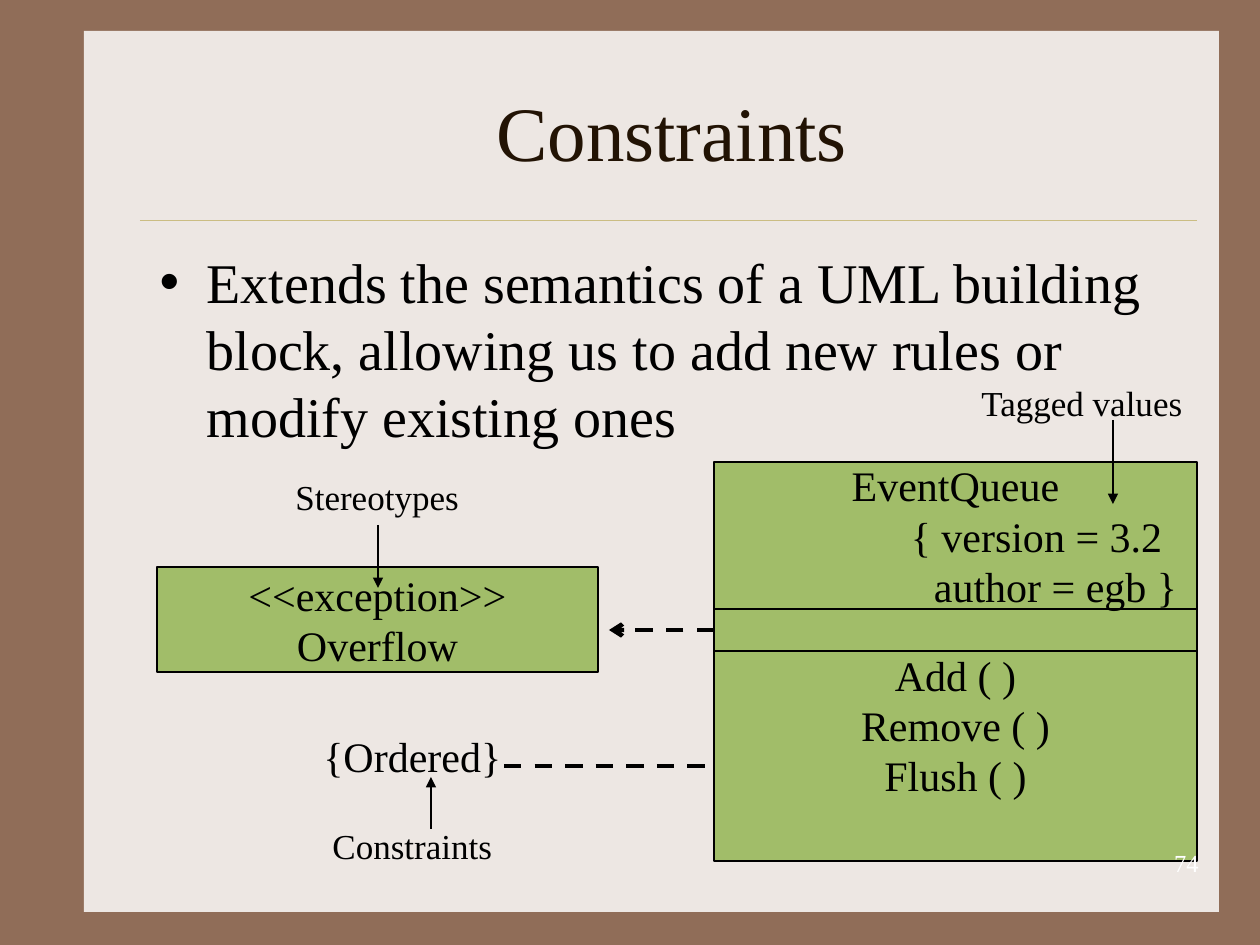
from dataclasses import dataclass
from typing import Optional

import lxml.etree
import pptx
import pptx.dml.color
import pptx.enum.dml
import pptx.enum.shapes
import pptx.enum.text
import pptx.oxml.ns
import pptx.util

ALIGN = pptx.enum.text.PP_ALIGN
ANCHOR = pptx.enum.text.MSO_ANCHOR
qn = pptx.oxml.ns.qn


@dataclass(frozen=True)
class Theme:
    font: str = "Times New Roman"
    frame: str = "906D58"
    panel: str = "EDE7E3"
    rule: str = "CBBD83"
    title: str = "221304"
    ink: str = "000000"
    box: str = "A1BD69"
    page: str = "FFFFFF"
    title_pt: int = 44
    body_pt: int = 32
    class_pt: int = 24
    label_pt: int = 20
    page_pt: int = 14
    leading: float = 1.19


@dataclass(frozen=True)
class Line:
    text: str
    indent: int = 0


@dataclass(frozen=True)
class Box:
    x: int
    y: int
    w: int
    h: int
    lines: tuple[Line, ...] = ()
    anchor: ANCHOR = ANCHOR.MIDDLE
    inset: int = 6


@dataclass(frozen=True)
class Label:
    x: int
    y: int
    w: int
    h: int
    text: str
    size: int
    color: str = "000000"
    align: ALIGN = ALIGN.LEFT


@dataclass(frozen=True)
class Link:
    x1: int
    y1: int
    x2: int
    y2: int
    color: str = "000000"
    weight: float = 0.75
    dashed: bool = False
    head: Optional[str] = None


T = Theme()

OPERATIONS = Box(714, 640, 483, 221,
                 (Line("Add ( )"), Line("Remove ( )"), Line("Flush ( )")),
                 ANCHOR.TOP, 10)
ATTRIBUTES = Box(714, 609, 483, 42)
EVENT_QUEUE = Box(714, 462, 483, 147,
                  (Line("EventQueue"), Line("{ version = 3.2", 162),
                   Line("author = egb }", 200)))
OVERFLOW = Box(157, 567, 441, 105, (Line("<<exception>>"), Line("Overflow")))

LABELS = (
    Label(311, 725, 203, 63, "{Ordered}", T.class_pt),
    Label(283, 470, 189, 55, "Stereotypes", T.label_pt),
    Label(969, 376, 228, 55, "Tagged values", T.label_pt),
    Label(320, 819, 185, 55, "Constraints", T.label_pt),
    Label(949, 842, 262, 63, "74", T.page_pt, T.page, ALIGN.RIGHT),
)
DEPENDENCY = Link(714, 630, 609, 630, weight=2.5, dashed=True, head="arrow")
LINKS = (
    Link(504, 766, 714, 766, weight=2.5, dashed=True),
    Link(378, 525, 378, 588, head="triangle"),
    Link(1113, 420, 1113, 504, head="triangle"),
    Link(431, 829, 431, 777, head="triangle"),
)


def px(n: int) -> pptx.util.Emu:
    return pptx.util.Emu(round(n * 914400 / 126))


def rgb(color: str) -> pptx.dml.color.RGBColor:
    return pptx.dml.color.RGBColor.from_string(color)


def write(p, text: str, size: int, color: str, align: ALIGN) -> None:
    p.alignment = align
    p.space_before = pptx.util.Pt(0)
    p.line_spacing = pptx.util.Pt(round(size * T.leading, 1))
    r = p.add_run()
    r.text = text
    r.font.name = T.font
    r.font.size = pptx.util.Pt(size)
    r.font.color.rgb = rgb(color)


def add_rect(s, box: Box, fill: str, outline: Optional[str] = None):
    sp = s.shapes.add_shape(pptx.enum.shapes.MSO_SHAPE.RECTANGLE,
                            px(box.x), px(box.y), px(box.w), px(box.h))
    sp.shadow.inherit = False
    sp.fill.solid()
    sp.fill.fore_color.rgb = rgb(fill)
    if outline:
        sp.line.color.rgb = rgb(outline)
        sp.line.width = pptx.util.Pt(0.75)
    else:
        sp.line.fill.background()
    return sp


def add_class_box(s, box: Box):
    sp = add_rect(s, box, T.box, T.ink)
    tf = sp.text_frame
    tf.word_wrap = True
    tf.vertical_anchor = box.anchor
    tf.margin_top = px(box.inset)
    for i, line in enumerate(box.lines):
        p = tf.add_paragraph() if i else tf.paragraphs[0]
        write(p, line.text, T.class_pt, T.ink, ALIGN.CENTER)
        if line.indent:
            p._p.get_or_add_pPr().set("marL", str(px(line.indent)))
    return sp


def add_label(s, label: Label) -> None:
    sp = s.shapes.add_textbox(px(label.x), px(label.y), px(label.w), px(label.h))
    tf = sp.text_frame
    tf.word_wrap = label.align == ALIGN.RIGHT
    write(tf.paragraphs[0], label.text, label.size, label.color, label.align)


def add_link(s, link: Link):
    c = s.shapes.add_connector(pptx.enum.shapes.MSO_CONNECTOR.STRAIGHT,
                               px(link.x1), px(link.y1), px(link.x2), px(link.y2))
    c.line.color.rgb = rgb(link.color)
    c.line.width = pptx.util.Pt(link.weight)
    if link.dashed:
        c.line.dash_style = pptx.enum.dml.MSO_LINE.DASH
    if link.head:
        lxml.etree.SubElement(c.line._get_or_add_ln(), qn("a:tailEnd"), type=link.head)
    lxml.etree.SubElement(c._element.spPr, qn("a:effectLst"))
    return c


def fill_placeholder(sp, box: Box, size: int, color: str, align: ALIGN):
    sp.left, sp.top, sp.width, sp.height = px(box.x), px(box.y), px(box.w), px(box.h)
    tf = sp.text_frame
    tf.word_wrap = True
    tf.auto_size = pptx.enum.text.MSO_AUTO_SIZE.NONE
    tf.vertical_anchor = box.anchor
    p = tf.paragraphs[0]
    write(p, box.lines[0].text, size, color, align)
    return p


def add_bullet(p) -> None:
    pPr = p._p.get_or_add_pPr()
    pPr.set("marL", str(px(47)))
    pPr.set("indent", str(-px(47)))
    clr = lxml.etree.SubElement(pPr, qn("a:buClr"))
    lxml.etree.SubElement(clr, qn("a:srgbClr"), val=T.ink)
    lxml.etree.SubElement(pPr, qn("a:buChar"), char="•")


def main() -> None:
    prs = pptx.Presentation()
    prs.slide_width, prs.slide_height = px(1260), px(945)
    s = prs.slides.add_slide(prs.slide_layouts[1])
    s.background.fill.solid()
    s.background.fill.fore_color.rgb = rgb(T.frame)
    panel = add_rect(s, Box(84, 31, 1135, 881), T.panel)
    s.shapes._spTree.insert(2, panel._element)
    add_link(s, Link(140, 220, 1197, 220, T.rule, 0.25))
    title = Box(147, 53, 1050, 157, (Line("Constraints"),))
    fill_placeholder(s.shapes.title, title, T.title_pt, T.title, ALIGN.CENTER)
    body = Box(147, 242, 1050, 567, (Line(
        "Extends the semantics of a UML building block, "
        "allowing us to add new rules or modify existing ones"),), ANCHOR.TOP)
    add_bullet(fill_placeholder(s.placeholders[1], body, T.body_pt, T.ink, ALIGN.LEFT))
    add_class_box(s, OPERATIONS)
    attributes = add_class_box(s, ATTRIBUTES)
    add_class_box(s, EVENT_QUEUE)
    add_class_box(s, OVERFLOW)
    add_link(s, DEPENDENCY).begin_connect(attributes, 1)
    for link in LINKS:
        add_link(s, link)
    for label in LABELS:
        add_label(s, label)
    prs.save("out.pptx")


if __name__ == "__main__":
    main()
